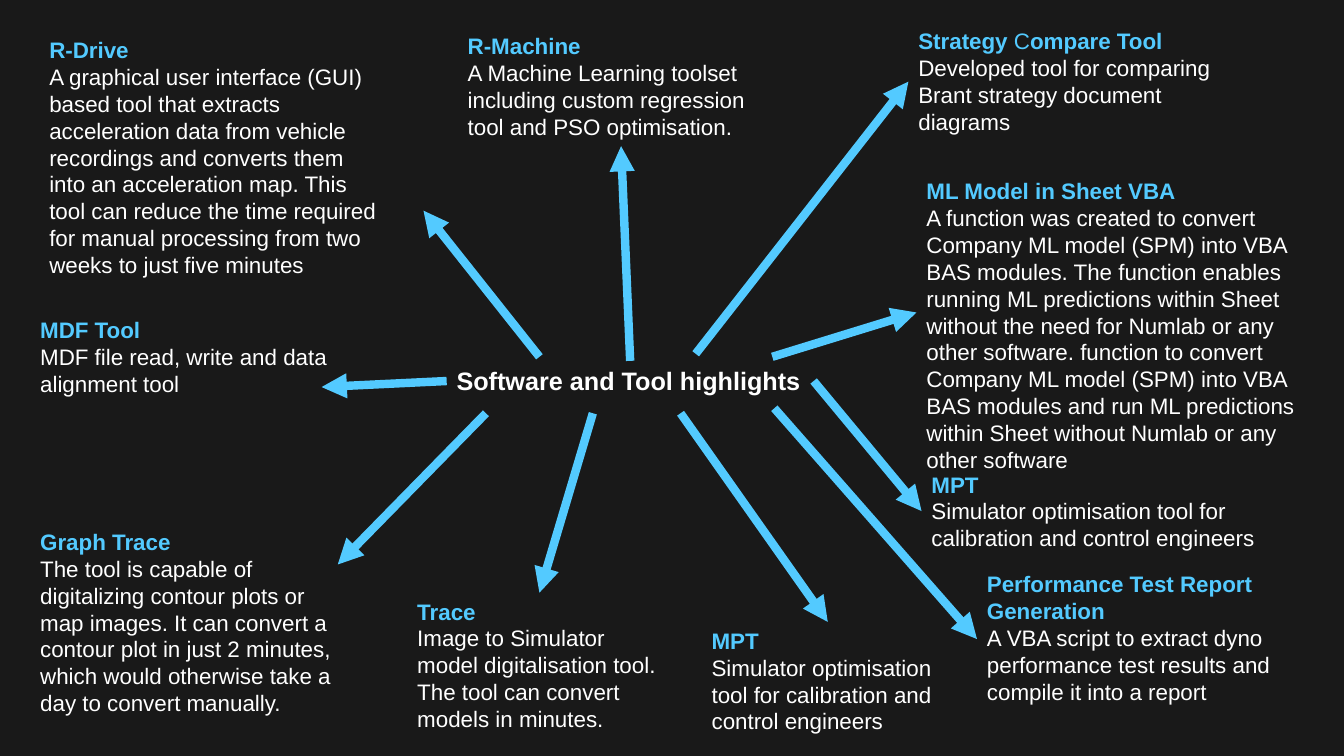
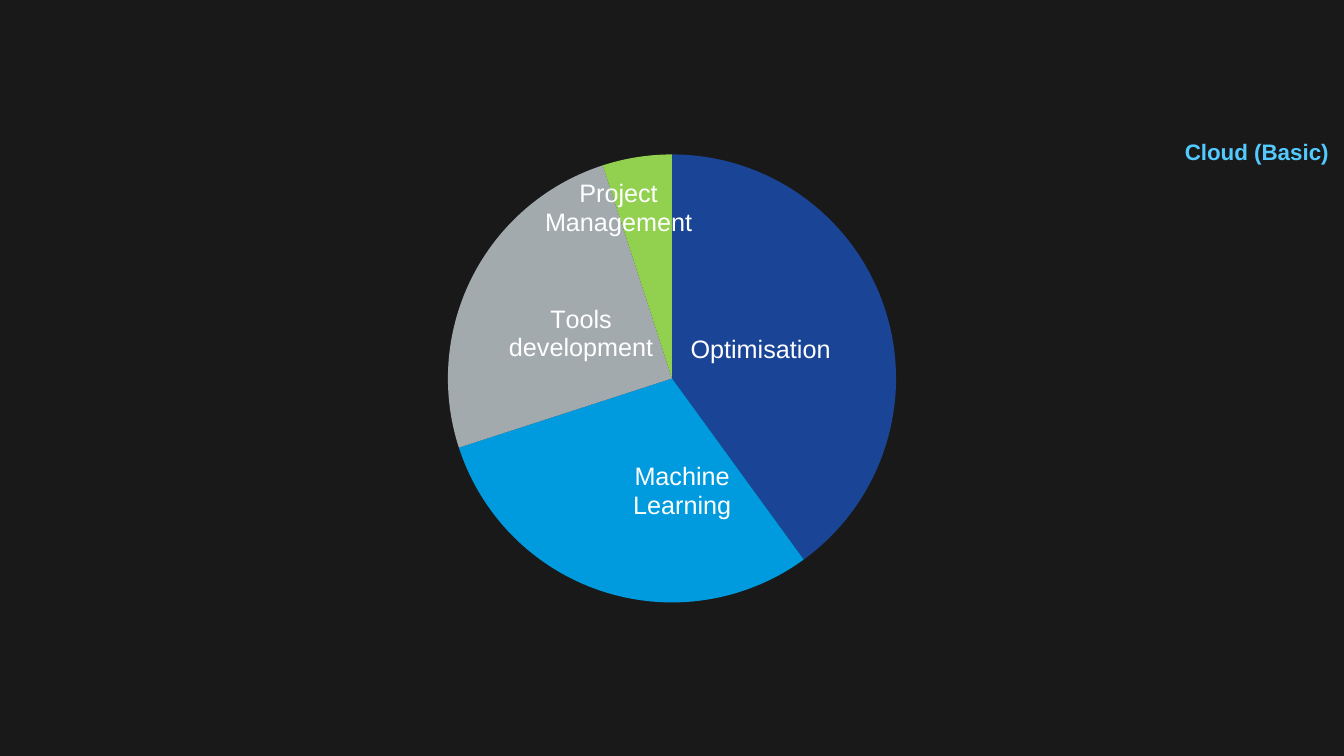
"""Build a two-slide overview of software tools and areas of work."""
from lxml import etree
from pptx import Presentation
from pptx.chart import data
from pptx.dml.color import RGBColor
from pptx.enum import chart as kinds, shapes, text
from pptx.oxml import ns
from pptx.util import Inches, Pt

FONT = "Arial"
DARK = RGBColor(0x19, 0x19, 0x19)
SKY = RGBColor(0x53, 0xCA, 0xFF)
WHITE = RGBColor(0xFF, 0xFF, 0xFF)

HUB = "Software and Tool highlights"
OPTIMISER = "Simulator optimisation tool for calibration and control engineers"

# Each tool: heading, description, text box, arrow start, arrow end
TOOLS = [
    ("Strategy Compare Tool",
     "Developed tool for comparing Brant strategy document diagrams",
     (9.01, 0.22, 3.25, 1.18), (6.9, 3.51), (9.01, 0.81)),
    ("MPT", OPTIMISER, (6.96, 6.17, 2.63, 1.18), (6.75, 4.1), (8.21, 6.17)),
    ("Trace",
     "Image to Simulator model digitalisation tool. The tool can convert models in minutes.",
     (4.04, 5.88, 2.63, 1.45), (5.88, 4.1), (5.35, 5.88)),
    ("Graph Trace",
     "The tool is capable of digitalizing contour plots or map images. It can convert a "
     "contour plot in just 2 minutes, which would otherwise take a day to convert manually.",
     (0.3, 5.19, 3.25, 1.99), (4.82, 4.1), (3.35, 5.6)),
    ("MDF Tool", "MDF file read, write and data alignment tool",
     (0.3, 3.09, 3.25, 0.91), (4.43, 3.78), (3.19, 3.84)),
    ("R-Machine",
     "A Machine Learning toolset including custom regression tool and PSO optimisation.",
     (4.54, 0.27, 3.25, 1.18), (6.25, 3.58), (6.16, 1.45)),
    ("ML Model in Sheet VBA",
     "A function was created to convert Company ML model (SPM) into VBA BAS modules. "
     "The function enables running ML predictions within Sheet without the need for "
     "Numlab or any other software. function to convert Company ML model (SPM) into "
     "VBA BAS modules and run ML predictions within Sheet without Numlab or any other "
     "software",
     (9.09, 1.71, 4.16, 2.79), (7.66, 3.54), (9.09, 3.1)),
    ("MPT", OPTIMISER, (9.14, 4.62, 3.97, 0.91), (8.07, 3.78), (9.14, 5.07)),
    ("R-Drive",
     "A graphical user interface (GUI) based tool that extracts acceleration data from "
     "vehicle recordings and converts them into an acceleration map. This tool can reduce "
     "the time required for manual processing from two weeks to just five minutes",
     (0.39, 0.31, 3.51, 2.52), (5.35, 3.54), (4.2, 2.09)),
    ("Performance Test Report Generation",
     "A VBA script to extract dyno performance test results and compile it into a report",
     (9.69, 5.61, 3.25, 1.45), (7.68, 4.05), (9.69, 6.34)),
]
HEADING_RUNS = {
    "Strategy Compare Tool": [("Strategy ", True), ("C", False), ("ompare Tool", True)],
}

# Each area: name, share, colour, label shift as a fraction of the chart
AREAS = [
    ("Optimisation", 40, RGBColor(0x1A, 0x45, 0x96), (-0.02, 0.01)),
    ("Machine Learning", 30, RGBColor(0x00, 0x9B, 0xDF), (0.05, 0.01)),
    ("Tools development", 25, RGBColor(0xA3, 0xAA, 0xAE), (0.01, 0.01)),
    ("Project Management", 5, RGBColor(0x92, 0xD0, 0x50), (-0.04, -0.1)),
]
PIE_AREA = {"x": 0.25, "y": 0.12, "w": 0.5, "h": 0.76}


def style(font, size, color, bold=False):
    font.name, font.size, font.bold = FONT, Pt(size), bold
    font.color.rgb = color


def add_text(page, place, paragraphs, wrap=True, align=text.PP_ALIGN.LEFT):
    frame = page.shapes.add_textbox(*map(Inches, place)).text_frame
    frame.word_wrap = wrap
    for index, (words, size, color, bold) in enumerate(paragraphs):
        para = frame.add_paragraph() if index else frame.paragraphs[0]
        para.alignment = align
        style(para.font, size, color, bold)
        for part, weight in HEADING_RUNS.get(words, [(words, bold)]):
            span = para.add_run()
            span.text = part
            if weight != bold:
                span.font.bold = weight


def add_arrow(page, start, end):
    arrow = page.shapes.add_connector(
        shapes.MSO_CONNECTOR.STRAIGHT, *map(Inches, start + end))
    arrow.line.color.rgb = SKY
    arrow.line.width = Pt(6)
    etree.SubElement(arrow.line._get_or_add_ln(), ns.qn("a:tailEnd"), type="triangle")
    etree.SubElement(arrow._element.spPr, ns.qn("a:effectLst"))


def make_layout(**values):
    layout = etree.Element(ns.qn("c:layout"))
    manual = etree.SubElement(layout, ns.qn("c:manualLayout"))
    for name, value in values.items():
        etree.SubElement(manual, ns.qn(f"c:{name}"), val=str(value))
    return layout


def add_pie(page, place):
    names, shares, colors, shifts = zip(*AREAS)
    content = data.CategoryChartData()
    content.categories = names
    content.add_series("Series 1", shares)
    chart = page.shapes.add_chart(
        kinds.XL_CHART_TYPE.PIE, *map(Inches, place), content).chart
    chart.has_legend = chart.has_title = False
    style(chart.font, 18, WHITE)
    plot = chart.plots[0]
    plot.vary_by_categories = True
    plot_area = chart._chartSpace.chart.plotArea
    for old in plot_area.findall(ns.qn("c:layout")):
        plot_area.remove(old)
    plot_area.insert(0, make_layout(
        layoutTarget="inner", xMode="edge", yMode="edge", **PIE_AREA))

    series = plot.series[0]
    series.data_labels.show_value = False
    series.data_labels.show_category_name = True
    for index, (color, (x, y)) in enumerate(zip(colors, shifts)):
        point = series.points[index]
        point.format.fill.solid()
        point.format.fill.fore_color.rgb = color
        point.format.line.fill.background()
        style(point.data_label.font, 18, WHITE)
        point.data_label.position = kinds.XL_LABEL_POSITION.CENTER
    for label, (x, y) in zip(series._element.iter(ns.qn("c:dLbl")), shifts):
        label.find(ns.qn("c:idx")).addnext(make_layout(x=x, y=y))
        label.find(ns.qn("c:showVal")).set("val", "0")
        label.find(ns.qn("c:showCatName")).set("val", "1")


def main():
    deck = Presentation()
    deck.slide_width, deck.slide_height = Inches(13.33), Inches(7.5)
    backdrop = deck.slide_master.background.fill
    backdrop.solid()
    backdrop.fore_color.rgb = DARK
    blank = deck.slide_layouts[6]

    tools_page = deck.slides.add_slide(blank)
    add_text(tools_page, (4.43, 3.58, 3.65, 0.4), [(HUB, 18, WHITE, True)], wrap=False)
    for heading, description, place, start, end in TOOLS:
        add_text(tools_page, place,
                 [(heading, 16, SKY, True), (description, 16, WHITE, False)])
        add_arrow(tools_page, start, end)

    areas_page = deck.slides.add_slide(blank)
    add_text(areas_page, (11.59, 1.32, 1.75, 0.37),
             [("Cloud (Basic)", 16, SKY, True)], align=text.PP_ALIGN.CENTER)
    add_pie(areas_page, (2.22, 0.79, 8.89, 5.93))
    deck.save("out.pptx")


if __name__ == "__main__":
    main()
